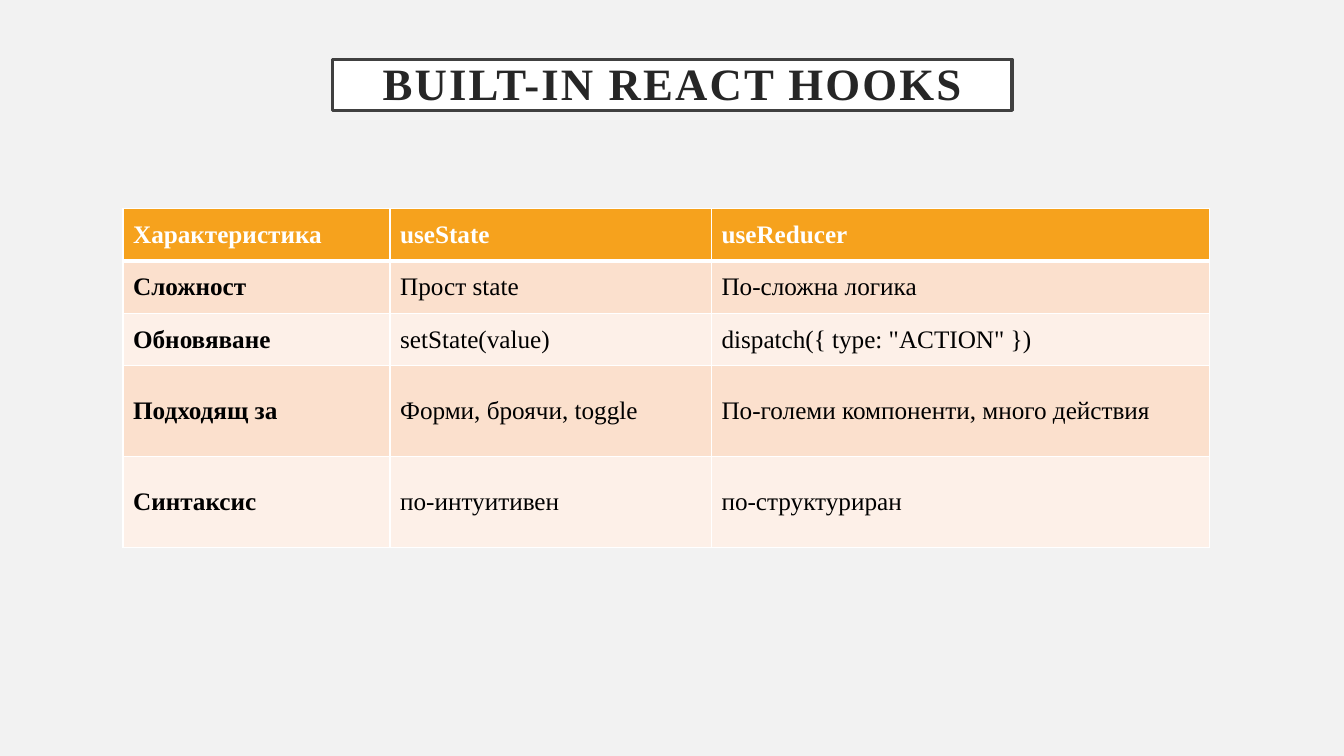
from lxml.etree import SubElement
from pptx import Presentation
from pptx.dml.color import RGBColor
from pptx.enum.text import MSO_ANCHOR, MSO_AUTO_SIZE, PP_ALIGN
from pptx.oxml.ns import qn
from pptx.util import Cm, Pt

FONT = "Times New Roman"
WHITE = "FFFFFF"
HEADER_FILL = "F6A21D"
BAND_FILLS = ("FBE0CD", "FDF0E8")
COLUMN_WIDTHS = (6.73, 8.1, 12.55)
ROW_HEIGHTS = (1.32, 1.32, 1.32, 2.29, 2.29)
ROWS = (
    ("Характеристика", "useState", "useReducer"),
    ("Сложност", "Прост state", "По-сложна логика"),
    ("Обновяване", "setState(value)", 'dispatch({ type: "ACTION" })'),
    ("Подходящ за", "Форми, броячи, toggle", "По-големи компоненти, много действия"),
    ("Синтаксис", "по-интуитивен", "по-структуриран"),
)


def color(value):
    return RGBColor.from_string(value)


def paint(fill, value):
    fill.solid()
    fill.fore_color.rgb = color(value)


def format_font(font, size, value, bold):
    font.name = FONT
    font.size = Pt(size)
    font.bold = bold
    font.color.rgb = color(value)


def add_title(slide, text):
    title = slide.shapes.title
    title.left, title.top, title.width, title.height = Cm(8.38), Cm(1.5), Cm(17.12), Cm(1.28)
    paint(title.fill, WHITE)
    title.line.color.rgb = color("404040")
    title.line.width = Pt(2.5)
    frame = title.text_frame
    frame.text = text
    frame.word_wrap = True
    frame.auto_size = MSO_AUTO_SIZE.NONE
    frame.vertical_anchor = MSO_ANCHOR.MIDDLE
    frame.margin_left = frame.margin_right = frame.margin_bottom = 0
    frame.margin_top = Cm(0.05)
    para = frame.paragraphs[0]
    para.alignment = PP_ALIGN.CENTER
    para.line_spacing = 0.9
    span = para.runs[0]
    format_font(span.font, 32, "262626", True)
    span.font._element.set("spc", "150")


def add_borders(cell, widths):
    """Draw white borders with the given widths in points, by side tag."""
    properties = cell._tc.get_or_add_tcPr()
    for side, width in widths.items():
        line = SubElement(properties, qn(f"a:{side}"), w=str(Pt(width)))
        solid = SubElement(line, qn("a:solidFill"))
        SubElement(solid, qn("a:srgbClr"), val=WHITE)


def fill_cell(cell, text, row, column):
    is_header = row == 0
    add_borders(cell, {"lnL": 1, "lnR": 1,
                       "lnT": 3 if row == 1 else 1,
                       "lnB": 3 if is_header else 1})
    paint(cell.fill, HEADER_FILL if is_header else BAND_FILLS[(row - 1) % 2])
    cell.vertical_anchor = MSO_ANCHOR.MIDDLE
    cell.text = text
    span = cell.text_frame.paragraphs[0].runs[0]
    format_font(span.font, 18, WHITE if is_header else "000000", is_header or column == 0)


def add_comparison_table(slide):
    frame = slide.shapes.add_table(
        len(ROWS), len(COLUMN_WIDTHS), Cm(3.1), Cm(5.26),
        Cm(sum(COLUMN_WIDTHS)), Cm(sum(ROW_HEIGHTS)))
    table = frame.table
    for column, width in zip(table.columns, COLUMN_WIDTHS):
        column.width = Cm(width)
    for row, height in zip(table.rows, ROW_HEIGHTS):
        row.height = Cm(height)
    for row, texts in enumerate(ROWS):
        for column, text in enumerate(texts):
            fill_cell(table.cell(row, column), text, row, column)


def main():
    deck = Presentation()
    deck.slide_width, deck.slide_height = Cm(33.87), Cm(19.05)
    slide = deck.slides.add_slide(deck.slide_layouts[5])
    paint(slide.background.fill, "F2F2F2")
    add_title(slide, "BUILT-IN REACT HOOKS")
    add_comparison_table(slide)
    deck.save("out.pptx")


if __name__ == "__main__":
    main()
